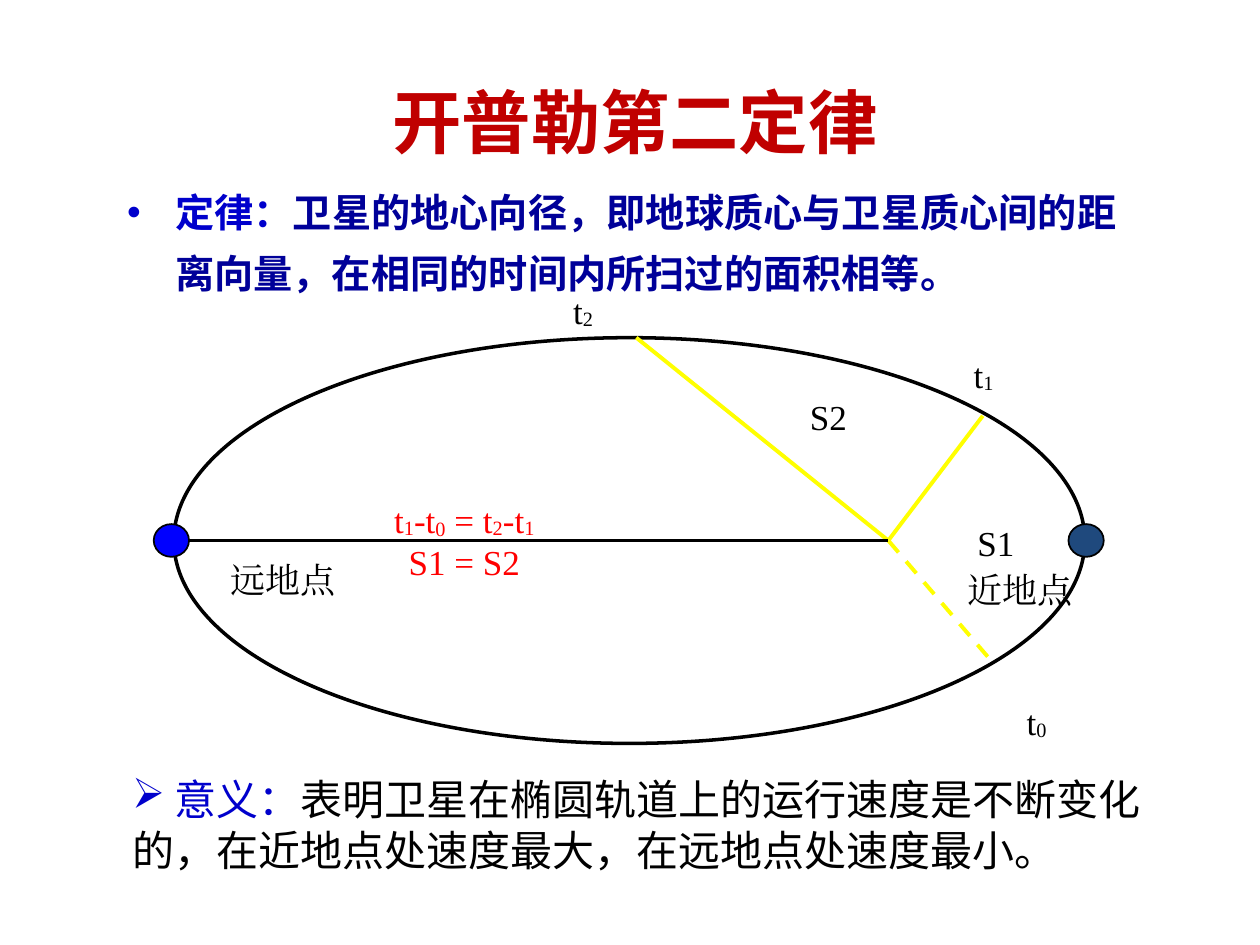
from dataclasses import dataclass

from lxml.etree import SubElement
from pptx import Presentation
from pptx.dml.color import RGBColor
from pptx.enum.dml import MSO_LINE
from pptx.enum.shapes import MSO_CONNECTOR, MSO_SHAPE
from pptx.enum.text import MSO_ANCHOR, MSO_AUTO_SIZE, PP_ALIGN
from pptx.oxml.ns import qn
from pptx.util import Inches, Pt


@dataclass(frozen=True)
class Theme:
    heading_font: str = "Noto Sans CJK SC"
    label_font: str = "Times New Roman"
    title_size: float = 39.6
    law_size: float = 22.4
    meaning_size: float = 24
    label_size: float = 20
    title: str = "C00000"
    term: str = "0000CC"
    law: str = "000099"
    ink: str = "000000"
    paper: str = "FFFFFF"
    formula: str = "FF0000"
    radius: str = "FFFF00"
    apogee: str = "0000FF"
    perigee: str = "1F497D"


THEME = Theme()


def color(value):
    return RGBColor.from_string(value)


def place(shape, box):
    shape.left, shape.top, shape.width, shape.height = (Inches(value) for value in box)


def set_font(paragraph, name, size, bold=False):
    paragraph.font.size = Pt(size)
    paragraph.font.bold = bold
    paragraph.font.name = name
    for run in paragraph.runs:
        properties = run._r.get_or_add_rPr()
        SubElement(properties, qn("a:ea")).set("typeface", name)


def add_run(paragraph, text, fill, baseline=0):
    run = paragraph.add_run()
    run.text = text
    run.font.color.rgb = color(fill)
    if baseline:
        run._r.get_or_add_rPr().set("baseline", str(baseline * 1000))


def set_bullet(paragraph, character, margin=0, indent=0):
    properties = paragraph._p.get_or_add_pPr()
    properties.set("marL", str(Inches(margin)))
    properties.set("indent", str(Inches(indent)))
    SubElement(properties, qn("a:buChar")).set("char", character)


def add_text_box(slide, box, wrap=True):
    shape = slide.shapes.add_textbox(*(Inches(value) for value in box))
    shape.text_frame.word_wrap = wrap
    return shape.text_frame


def add_label(slide, box, parts, align=PP_ALIGN.LEFT, wrap=True):
    paragraph = add_text_box(slide, box, wrap).paragraphs[0]
    paragraph.alignment = align
    for text, baseline in parts:
        add_run(paragraph, text, THEME.ink, baseline)
    set_font(paragraph, THEME.label_font, THEME.label_size)


def add_ellipse(slide, box, fill, line_width):
    shape = slide.shapes.add_shape(MSO_SHAPE.OVAL, *(Inches(value) for value in box))
    shape.shadow.inherit = False
    shape.fill.solid()
    shape.fill.fore_color.rgb = color(fill)
    shape.line.color.rgb = color(THEME.ink)
    shape.line.width = Pt(line_width)


def add_line(slide, start, end, line_color, width, dash=None):
    points = (Inches(value) for value in (*start, *end))
    connector = slide.shapes.add_connector(MSO_CONNECTOR.STRAIGHT, *points)
    connector.line.color.rgb = color(line_color)
    connector.line.width = Pt(width)
    if dash:
        connector.line.dash_style = dash
    SubElement(connector._element.spPr, qn("a:effectLst"))


def fill_title(slide, box):
    title = slide.shapes.title
    place(title, box)
    frame = title.text_frame
    frame.auto_size = MSO_AUTO_SIZE.NONE
    frame.vertical_anchor = MSO_ANCHOR.MIDDLE
    paragraph = frame.paragraphs[0]
    paragraph.alignment = PP_ALIGN.CENTER
    add_run(paragraph, "开普勒第二定律", THEME.title)
    set_font(paragraph, THEME.heading_font, THEME.title_size, True)


def fill_law(slide, box):
    body = slide.placeholders[1]
    place(body, box)
    body.text_frame.auto_size = MSO_AUTO_SIZE.NONE
    paragraph = body.text_frame.paragraphs[0]
    set_bullet(paragraph, "•", 0.51, -0.38)
    paragraph.line_spacing = Pt(35)
    paragraph.space_before = Pt(0)
    add_run(paragraph, "定律：", THEME.term)
    law = "卫星的地心向径，即地球质心与卫星质心间的距离向量，在相同的时间内所扫过的面积相等。"
    add_run(paragraph, law, THEME.law)
    set_font(paragraph, THEME.heading_font, THEME.law_size, True)


def add_formula(slide, box):
    frame = add_text_box(slide, box)
    times = [("t", 0), ("1", -6), ("-t", 0), ("0", -8), (" = t", 0), ("2", -6), ("-t", 0), ("1", -6)]
    for paragraph, parts in (
        (frame.paragraphs[0], times),
        (frame.add_paragraph(), [("S1 = S2", 0)]),
    ):
        paragraph.alignment = PP_ALIGN.CENTER
        for text, baseline in parts:
            add_run(paragraph, text, THEME.formula, baseline)
        set_font(paragraph, THEME.label_font, THEME.label_size)


def add_orbit(slide, box):
    left, top, width, height = box
    middle = top + height / 2
    focus = (left + 5.67, middle)
    add_ellipse(slide, box, THEME.paper, 2)

    for x, y, dash in ((6.5, 2.58, MSO_LINE.DASH), (6.42, 0.62, None), (3.67, 0, None)):
        add_line(slide, focus, (left + x, top + y), THEME.radius, 2.25, dash)

    for x, y, index in ((6.67, 2.83, "0"), (6.25, 0.08, "1"), (3.07, -0.43, "2")):
        add_label(slide, (left + x, top + y, 0.44, 0.43), [("t", 0), (index, -6)], wrap=False)

    for x, y, label_width, text, wrap in (
        (4.92, 0.41, 0.52, "S2", True),
        (6.25, 1.41, 0.52, "S1", True),
        (0.19, 1.7, 1.19, "远地点", True),
        (6.18, 1.78, 1.05, "近地点", False),
    ):
        label_box = (left + x, top + y, label_width, 0.43)
        add_label(slide, label_box, [(text, 0)], PP_ALIGN.RIGHT, wrap)

    add_formula(slide, (left + 1.5, top + 1.23, 1.61, 0.71))
    add_line(slide, (left, middle), focus, THEME.ink, 2)
    for x, fill in ((left - 0.16, THEME.apogee), (left + width - 0.13, THEME.perigee)):
        add_ellipse(slide, (x, middle - 0.13, 0.28, 0.26), fill, 1)


def add_meaning(slide, box):
    frame = add_text_box(slide, box)
    first = frame.paragraphs[0]
    set_bullet(first, "➢")
    add_run(first, " 意义：", THEME.term)
    add_run(first, "表明卫星在椭圆轨道上的运行速度是不断变化", THEME.ink)
    second = frame.add_paragraph()
    add_run(second, "的，在近地点处速度最大，在远地点处速度最小。", THEME.ink)
    for paragraph, spacing in ((first, 44), (second, 29)):
        paragraph.line_spacing = Pt(spacing)
        set_font(paragraph, THEME.heading_font, THEME.meaning_size)


def main():
    presentation = Presentation()
    presentation.slide_width = Inches(10)
    presentation.slide_height = Inches(7.5)
    slide = presentation.slides.add_slide(presentation.slide_layouts[1])
    fill_title(slide, (0.78, 0.55, 8.52, 0.82))
    fill_law(slide, (0.78, 1.33, 8.44, 1.16))
    add_orbit(slide, (1.38, 2.68, 7.23, 3.22))
    add_meaning(slide, (0.95, 5.88, 8.44, 1.16))
    presentation.save("out.pptx")


if __name__ == "__main__":
    main()
